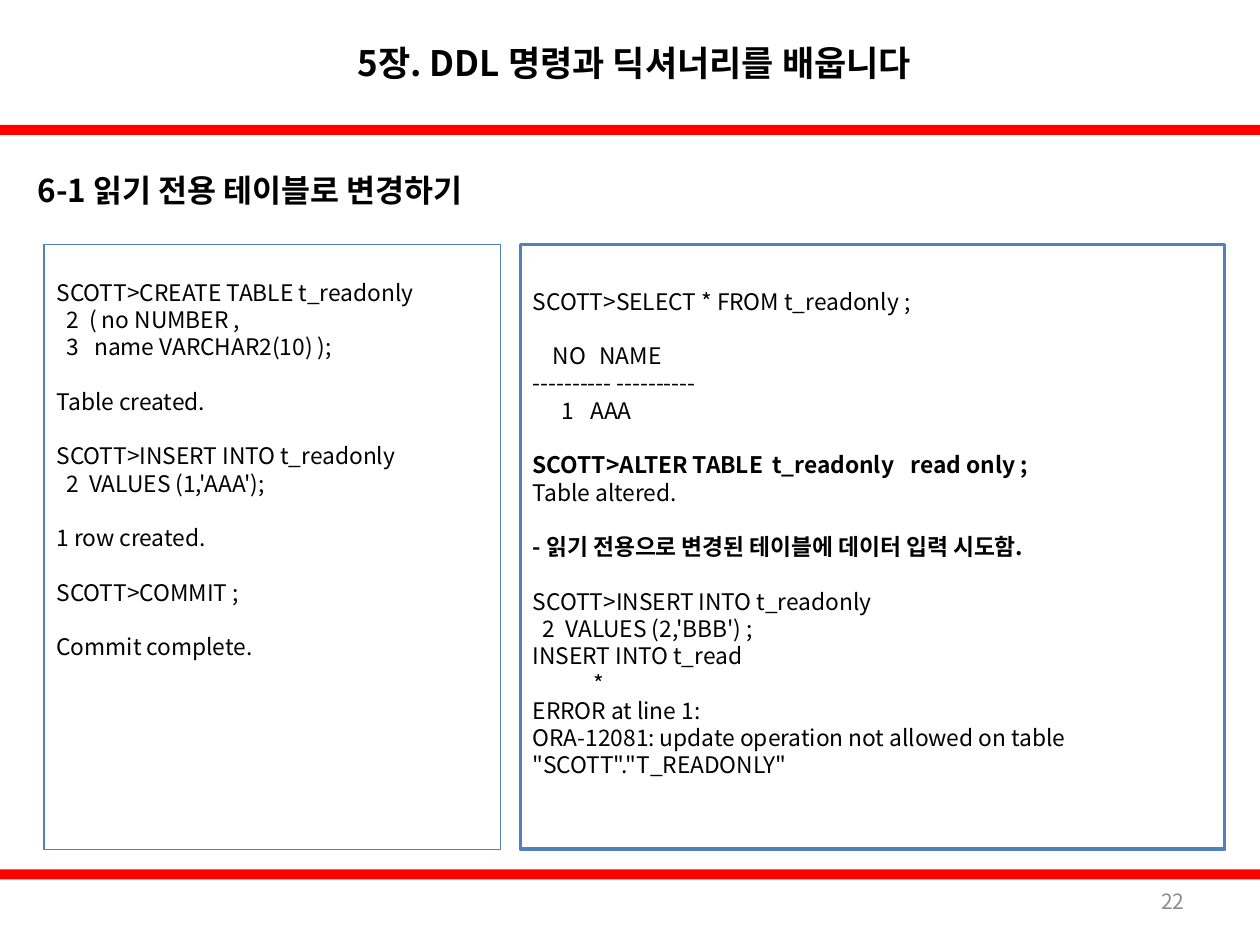
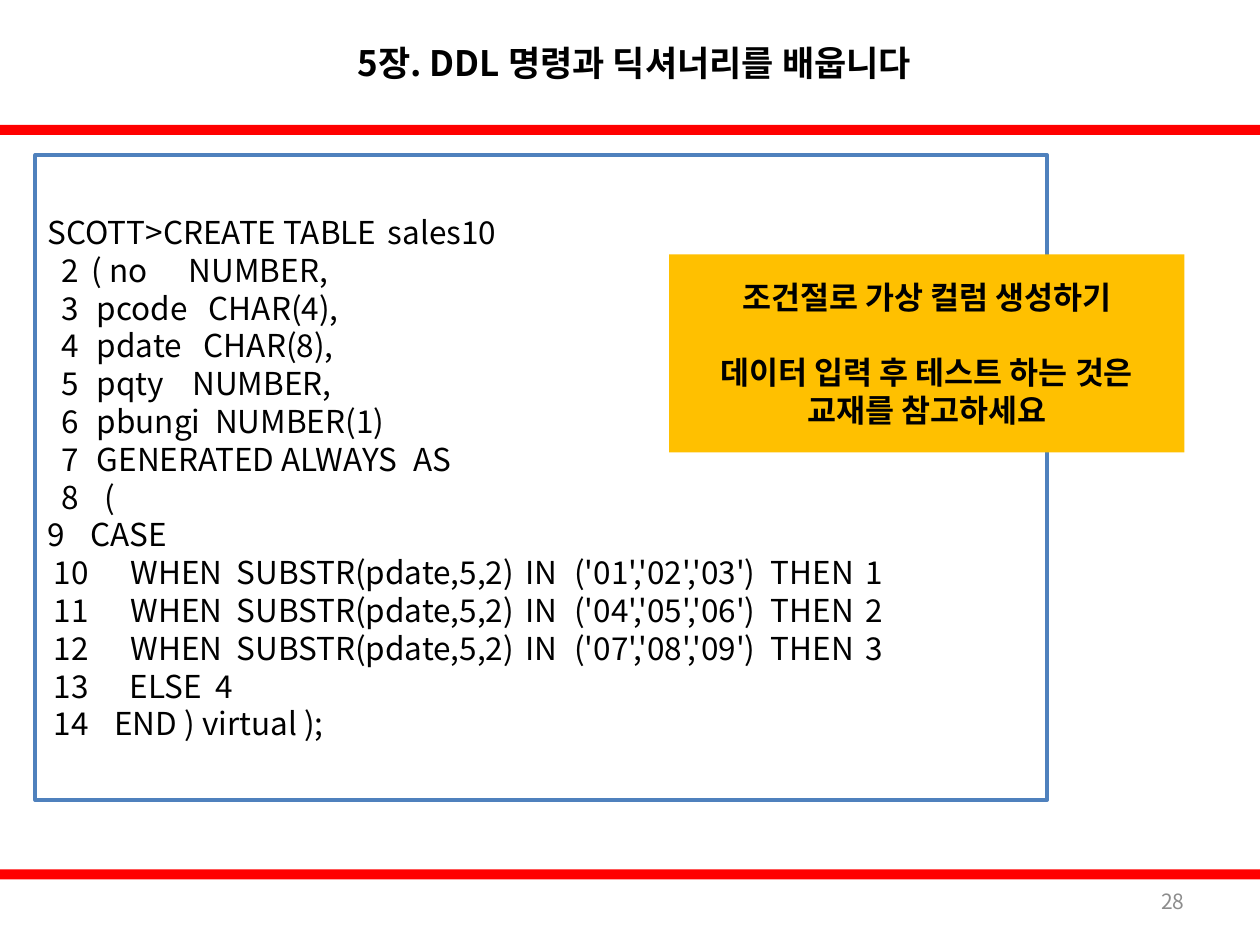
import collections

import lxml.etree
import pptx
import pptx.dml.color
import pptx.enum.shapes
import pptx.enum.text
import pptx.oxml.ns
import pptx.util

Inches = pptx.util.Inches
Pt = pptx.util.Pt
Align = pptx.enum.text.PP_ALIGN
Anchor = pptx.enum.text.MSO_ANCHOR

# Shared style
FONT = "Noto Sans CJK KR"
RED, BLUE, AMBER = "FF0000", "4F81BD", "FFC000"
BLACK, WHITE, GRAY = "000000", "FFFFFF", "8C8C8C"
CHAPTER = "5장. DDL 명령과 딕셔너리를 배웁니다"
LINE_PITCH = 1.2

# One line of text: tab stops in inches, gap in blank lines above it
Line = collections.namedtuple("Line", "text stops gap bold", defaults=((), 0, False))

# Console sessions
CREATE_SESSION = [
    Line("SCOTT>CREATE TABLE t_readonly"),
    Line("\t2\t( no NUMBER ,", (0.08, 0.26)),
    Line("\t3\tname VARCHAR2(10) );", (0.08, 0.3)),
    Line("Table created.", gap=1),
    Line("SCOTT>INSERT INTO t_readonly", gap=1),
    Line("\t2\tVALUES (1,'AAA');", (0.08, 0.26)),
    Line("1 row created.", gap=1),
    Line("SCOTT>COMMIT ;", gap=1),
    Line("Commit complete.", gap=1),
]
READ_ONLY_SESSION = [
    Line("SCOTT>SELECT * FROM t_readonly ;"),
    Line("\tNO\tNAME", (0.16, 0.53), gap=1),
    Line("---------- ----------"),
    Line("\t1\tAAA", (0.23, 0.46)),
    Line("SCOTT>ALTER TABLE\tt_readonly\tread only ;", (1.9, 2.75), gap=1, bold=True),
    Line("Table altered."),
    Line("- 읽기 전용으로 변경된 테이블에 데이터 입력 시도함.", gap=1, bold=True),
    Line("SCOTT>INSERT INTO t_readonly", gap=1),
    Line("\t2\tVALUES (2,'BBB') ;", (0.08, 0.26)),
    Line("INSERT INTO t_read"),
    Line("\t*", (0.48,)),
    Line("ERROR at line 1:"),
    Line('ORA-12081: update operation not allowed on table "SCOTT"."T_READONLY"'),
]
QUARTERS = ["'01','02','03'", "'04','05','06'", "'07','08','09'"]
VIRTUAL_COLUMN_SESSION = [
    Line("SCOTT>CREATE TABLE\tsales10", (2.7,)),
    Line("\t2\t( no\tNUMBER,", (0.11, 0.35, 1.12)),
    Line("\t3\tpcode\tCHAR(4),", (0.11, 0.39, 1.28)),
    Line("\t4\tpdate\tCHAR(8),", (0.11, 0.39, 1.24)),
    Line("\t5\tpqty\tNUMBER,", (0.11, 0.39, 1.15)),
    Line("\t6\tpbungi\tNUMBER(1)", (0.11, 0.39, 1.33)),
    Line("\t7\tGENERATED ALWAYS\tAS", (0.11, 0.39, 2.9)),
    Line("\t8\t(", (0.11, 0.45)),
    Line("9\tCASE", (0.34,)),
    *[Line(f"\t{number + 9}\tWHEN\tSUBSTR(pdate,5,2)\tIN\t({months})\tTHEN\t{number}",
           (0.05, 0.66, 1.5, 3.79, 4.18, 5.74, 6.49))
      for number, months in enumerate(QUARTERS, 1)],
    Line("\t13\tELSE\t4", (0.05, 0.65, 1.33)),
    Line("\t14\tEND ) virtual );", (0.05, 0.53)),
]
CALLOUT = [
    Line("조건절로 가상 컬럼 생성하기", bold=True),
    Line("데이터 입력 후 테스트 하는 것은", gap=1, bold=True),
    Line("교재를 참고하세요", bold=True),
]


def color(hex_text):
    return pptx.dml.color.RGBColor.from_string(hex_text)


def set_tab_stops(para, stops):
    tab_list = lxml.etree.SubElement(para._p.get_or_add_pPr(), pptx.oxml.ns.qn("a:tabLst"))
    for stop in stops:
        lxml.etree.SubElement(tab_list, pptx.oxml.ns.qn("a:tab"),
                              pos=str(int(Inches(stop))), algn="l")


def write(para, text, size=13, ink=BLACK, bold=False, align=Align.LEFT):
    """Put one formatted run into a paragraph."""
    para.alignment = align
    span = para.add_run()
    span.text = text
    span.font.name = FONT
    span.font.size = Pt(size)
    span.font.bold = bold
    span.font.color.rgb = color(ink)
    lxml.etree.SubElement(span._r.get_or_add_rPr(), pptx.oxml.ns.qn("a:ea"), typeface=FONT)


def write_lines(frame, lines, size, align=Align.LEFT):
    """Write lines at an even pitch, with gaps and tab stops."""
    pitch = size * LINE_PITCH
    for index, line in enumerate(lines):
        para = frame.add_paragraph() if index else frame.paragraphs[0]
        para.line_spacing = Pt(pitch)
        para.space_before = Pt(pitch * line.gap)
        if line.stops:
            set_tab_stops(para, line.stops)
        write(para, line.text, size=size, bold=line.bold, align=align)


def add_label(page, text, left, top, width, height, **text_format):
    box = page.shapes.add_textbox(Inches(left), Inches(top), Inches(width), Inches(height))
    box.text_frame.word_wrap = True
    box.text_frame.vertical_anchor = Anchor.MIDDLE
    write(box.text_frame.paragraphs[0], text, **text_format)


def add_box(page, left, top, width, height, fill=None, line=None, weight=2):
    box = page.shapes.add_shape(pptx.enum.shapes.MSO_SHAPE.RECTANGLE,
                                Inches(left), Inches(top), Inches(width), Inches(height))
    box.shadow.inherit = False
    if fill:
        box.fill.solid()
        box.fill.fore_color.rgb = color(fill)
    else:
        box.fill.background()
    if line:
        box.line.color.rgb = color(line)
        box.line.width = Pt(weight)
    else:
        box.line.fill.background()
    box.text_frame.word_wrap = True
    box.text_frame.vertical_anchor = Anchor.MIDDLE
    return box


def add_page(deck, number):
    """Blank page with the red bands, chapter title and page number."""
    page = deck.slides.add_slide(deck.slide_layouts[6])
    for top in (0.99, 6.9):
        add_box(page, 0, top, 10, 0.08, fill=RED)
    add_label(page, CHAPTER, 1.69, 0, 6.69, 0.99, size=20, bold=True, align=Align.CENTER)
    add_label(page, str(number), 7.17, 6.95, 2.33, 0.4, size=12, ink=GRAY, align=Align.RIGHT)
    return page


def build_read_only_page(deck):
    page = add_page(deck, 22)
    add_label(page, "6-1 읽기 전용 테이블로 변경하기", 0.2, 1.23, 9.45, 0.55, size=18, bold=True)

    # Table creation, one line below the top edge
    left_box = add_box(page, 0.35, 1.94, 3.62, 4.8, fill=WHITE, line=BLUE, weight=0.75)
    left_box.text_frame.vertical_anchor = Anchor.TOP
    left_box.text_frame.margin_top = Inches(0.27)
    write_lines(left_box.text_frame, CREATE_SESSION, 13, Align.JUSTIFY)

    # Read-only change, centred one line above the bottom edge
    right_box = add_box(page, 4.13, 1.94, 5.59, 4.8, line=BLUE)
    right_box.text_frame.margin_bottom = Inches(0.27)
    write_lines(right_box.text_frame, READ_ONLY_SESSION, 13)


def build_virtual_column_page(deck):
    page = add_page(deck, 28)
    code_box = add_box(page, 0.28, 1.23, 8.03, 5.12, line=BLUE)
    write_lines(code_box.text_frame, VIRTUAL_COLUMN_SESSION, 18)
    callout = add_box(page, 5.31, 2.02, 4.09, 1.57, fill=AMBER)
    write_lines(callout.text_frame, CALLOUT, 18, Align.CENTER)


def main():
    deck = pptx.Presentation()
    deck.slide_width, deck.slide_height = Inches(10), Inches(7.5)
    build_read_only_page(deck)
    build_virtual_column_page(deck)
    deck.save("out.pptx")


if __name__ == "__main__":
    main()
